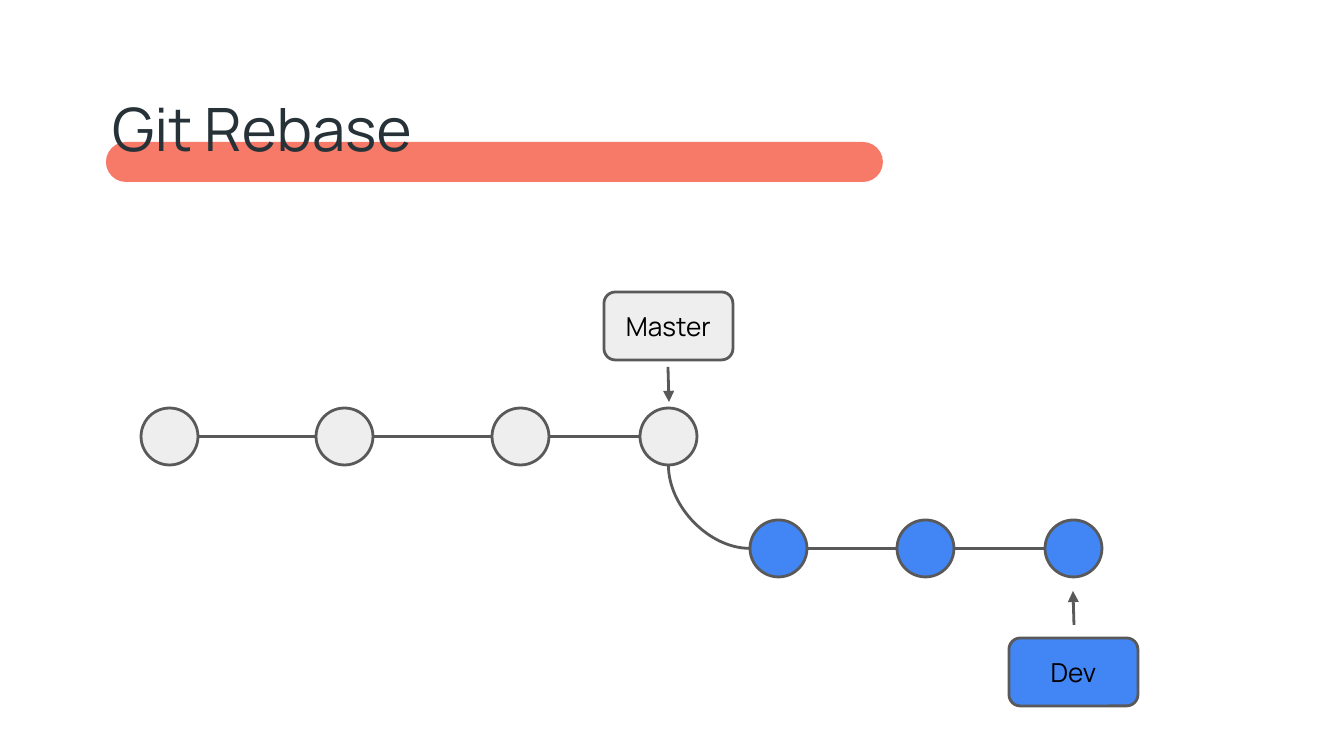
from itertools import pairwise

from lxml.etree import SubElement
from pptx import Presentation
from pptx.dml.color import RGBColor
from pptx.enum.shapes import MSO_CONNECTOR, MSO_SHAPE
from pptx.enum.text import MSO_ANCHOR, PP_ALIGN
from pptx.oxml.ns import qn
from pptx.util import Emu, Inches, Pt

FONT = "Manrope"
CORAL, GREY, BLUE = "F77967", "EEEEEE", "4285F4"
OUTLINE, TITLE_INK, BLACK = "595959", "263238", "000000"
COMMIT_SIZE = 57
LABEL_WIDTH, LABEL_HEIGHT = 129, 68


def px(length):
    return Emu(round(length * 914400 / 134.4))


def color(hex_string):
    return RGBColor.from_string(hex_string)


def write_text(shape, text, size, ink):
    text_frame = shape.text_frame
    text_frame.word_wrap = True
    text_frame.margin_left = text_frame.margin_right = Inches(0.1)
    text_frame.margin_top = text_frame.margin_bottom = Inches(0.1)
    text_frame.text = text
    font = text_frame.paragraphs[0].runs[0].font
    font.name, font.size, font.color.rgb = FONT, Pt(size), color(ink)


def add_filled_shape(slide, kind, box, fill, line=None):
    shape = slide.shapes.add_shape(kind, *map(px, box))
    shape.shadow.inherit = False
    shape.fill.solid()
    shape.fill.fore_color.rgb = color(fill)
    if line:
        shape.line.color.rgb = color(line)
        shape.line.width = Pt(1.5)
    else:
        shape.line.fill.background()
    return shape


def add_title(slide, text):
    bar = add_filled_shape(slide, MSO_SHAPE.ROUNDED_RECTANGLE, (106, 142, 777, 40), CORAL)
    bar.adjustments[0] = 0.5
    title = slide.shapes.add_textbox(*map(px, (99, 78, 1132, 90)))
    write_text(title, text, 32, TITLE_INK)


def add_connector(slide, start, end, kind=MSO_CONNECTOR.STRAIGHT, arrow=False):
    connector = slide.shapes.add_connector(kind, *map(px, (*start, *end)))
    connector.line.color.rgb = color(OUTLINE)
    connector.line.width = Pt(1.5)
    properties = connector._element.spPr
    if arrow:
        SubElement(properties.find(qn("a:ln")), qn("a:tailEnd"), type="triangle")
    SubElement(properties, qn("a:effectLst"))
    return connector


def add_branch(slide, lefts, top, fill):
    """Draw a row of commits, each joined to the next by a line."""
    middle = top + COMMIT_SIZE / 2
    for left in lefts:
        box = (left, top, COMMIT_SIZE, COMMIT_SIZE)
        add_filled_shape(slide, MSO_SHAPE.OVAL, box, fill, OUTLINE)
    for left, next_left in pairwise(lefts):
        add_connector(slide, (left + COMMIT_SIZE, middle), (next_left, middle))


def add_fork(slide, start, end):
    """Draw a quarter curve that leaves start sideways and meets end upright."""
    curve = add_connector(slide, start, end, MSO_CONNECTOR.CURVE)
    curve._element.spPr.find(qn("a:prstGeom")).set("prst", "curvedConnector2")


def add_branch_label(slide, text, left, top, fill):
    box = (left, top, LABEL_WIDTH, LABEL_HEIGHT)
    label = add_filled_shape(slide, MSO_SHAPE.ROUNDED_RECTANGLE, box, fill, OUTLINE)
    write_text(label, text, 14, BLACK)
    label.text_frame.vertical_anchor = MSO_ANCHOR.MIDDLE
    label.text_frame.paragraphs[0].alignment = PP_ALIGN.CENTER


def main():
    presentation = Presentation()
    presentation.slide_width, presentation.slide_height = px(1344), px(756)
    slide = presentation.slides.add_slide(presentation.slide_layouts[6])

    add_title(slide, "Git Rebase")

    master_lefts, master_top = (141, 316, 492, 640), 408
    dev_lefts, dev_top = (750, 897, 1045), 520
    add_branch(slide, master_lefts, master_top, GREY)
    add_branch(slide, dev_lefts, dev_top, BLUE)
    add_fork(
        slide,
        (dev_lefts[0], dev_top + COMMIT_SIZE / 2),
        (master_lefts[-1] + COMMIT_SIZE / 2, master_top + COMMIT_SIZE),
    )

    add_branch_label(slide, "Master", 604, 292, GREY)
    add_connector(slide, (668, 367), (669, 402), arrow=True)
    add_branch_label(slide, "Dev", 1009, 638, BLUE)
    add_connector(slide, (1074, 625), (1073, 591), arrow=True)

    presentation.save("out.pptx")


if __name__ == "__main__":
    main()
